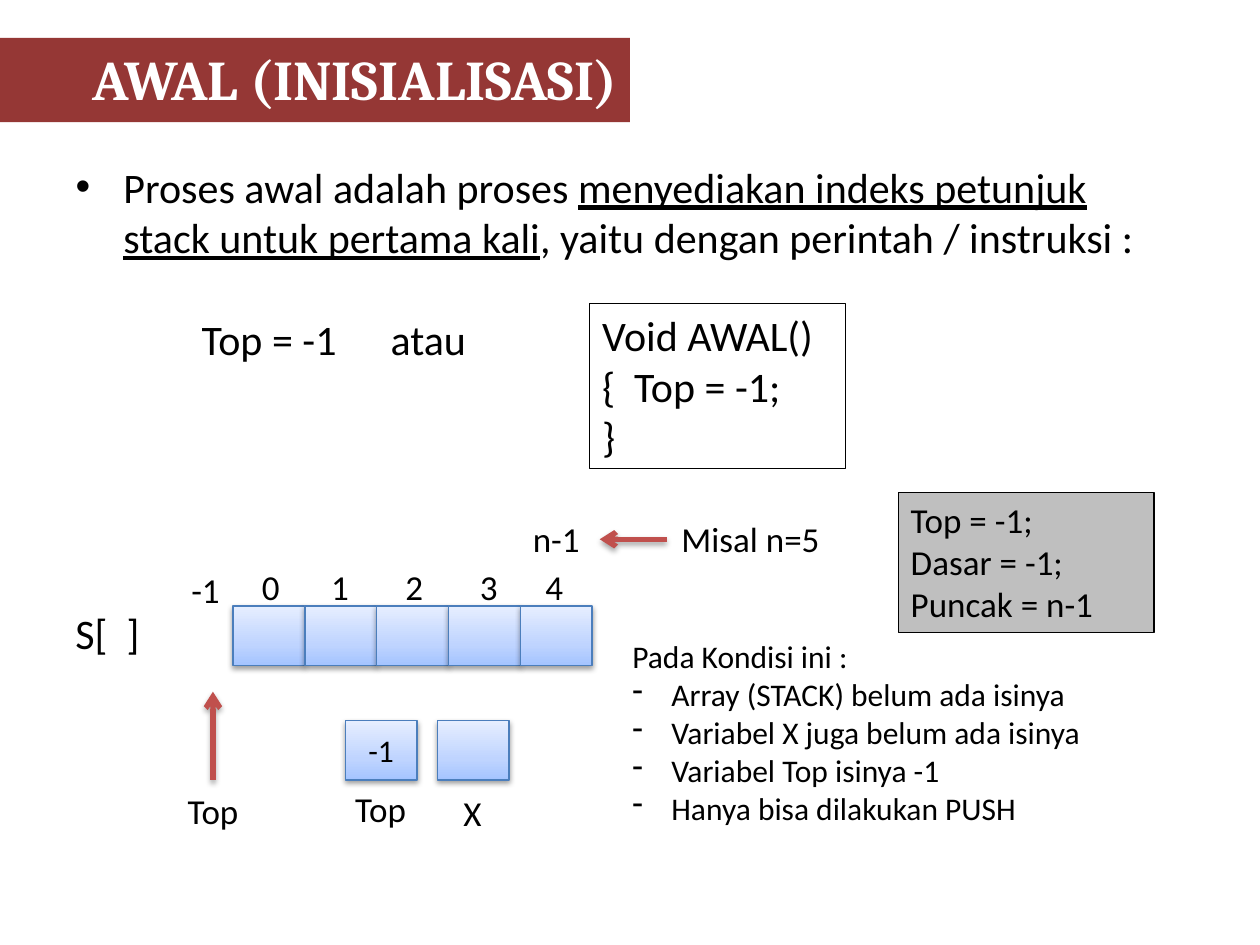
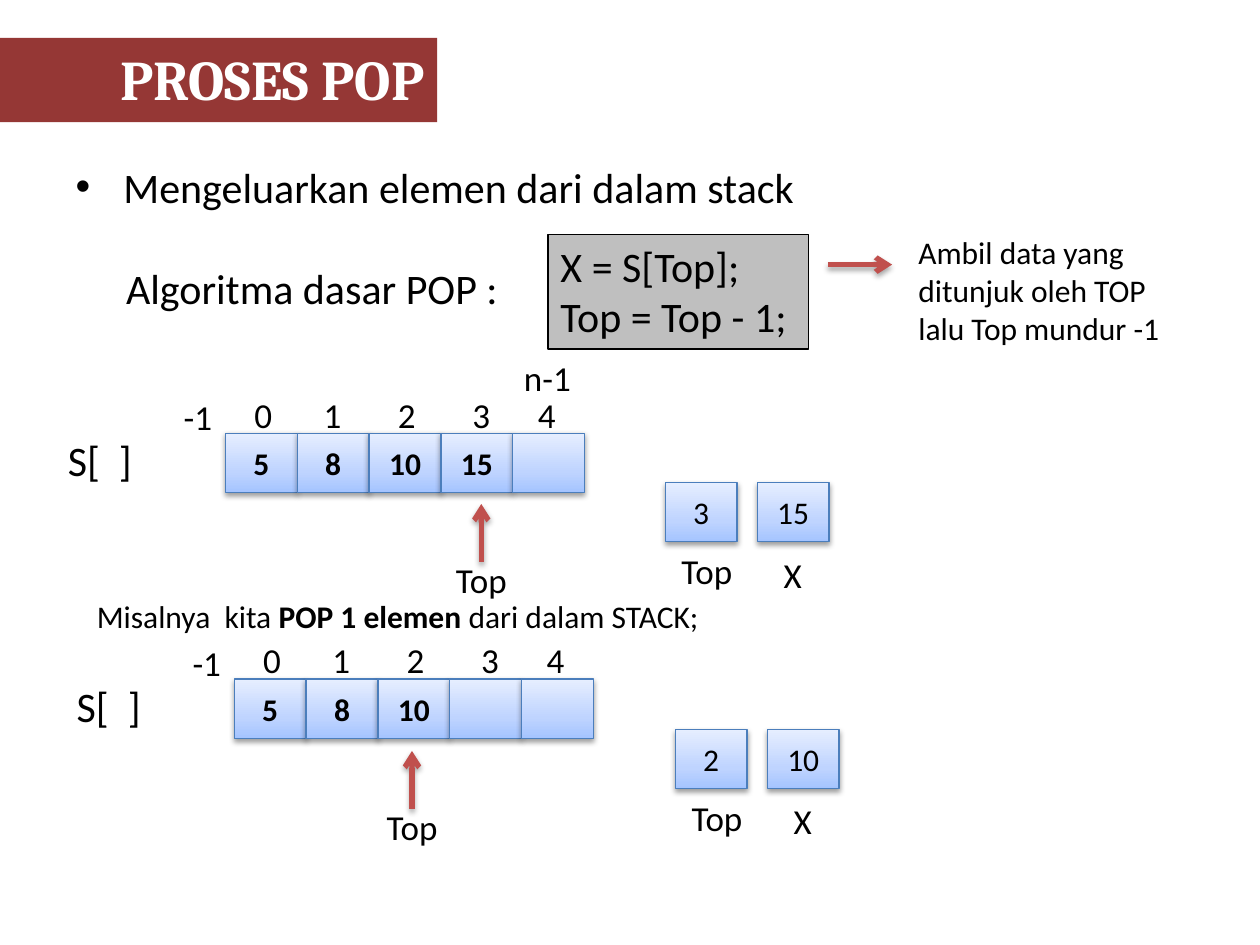
import copy

import pptx
import pptx.util
import pptx.dml.color
import pptx.enum.shapes
import pptx.enum.text
import pptx.oxml
import pptx.oxml.ns
from lxml import etree

Inches = pptx.util.Inches
Pt = pptx.util.Pt
qn = pptx.oxml.ns.qn
ALIGN = pptx.enum.text.PP_ALIGN
ANCHOR = pptx.enum.text.MSO_ANCHOR
FIT = pptx.enum.text.MSO_AUTO_SIZE
RECT = pptx.enum.shapes.MSO_SHAPE.RECTANGLE
STRAIGHT = pptx.enum.shapes.MSO_CONNECTOR.STRAIGHT

COLORS = {
    "band": "953735",
    "white": "FFFFFF",
    "text": "000000",
    "gray": "BFBFBF",
    "arrow": "C0504D",
    "cell_line": "4B7EBC",
    "cell_low": "A4C4FF",
    "cell_mid": "BFD4FF",
    "cell_high": "E6EEFF",
}
CELL_W, CELL_H = 0.57, 0.47
INDEX_OFFSETS = [0.13, 0.68, 1.27, 1.86, 2.38]
BLANK_LINE = 29.3


def rgb(name):
    return pptx.dml.color.RGBColor.from_string(COLORS[name])


def place(shape, x, y, w, h):
    shape.left, shape.top = Inches(x), Inches(y)
    shape.width, shape.height = Inches(w), Inches(h)


def write_text(tf, paragraphs, size=20, font="Calibri", color="text", bold=False,
               align=ALIGN.LEFT, anchor=ANCHOR.TOP, wrap=True, fit=FIT.NONE):
    tf.word_wrap = wrap
    tf.auto_size = fit
    tf.vertical_anchor = anchor
    for i, runs in enumerate(paragraphs):
        p = tf.paragraphs[0] if i == 0 else tf.add_paragraph()
        p.alignment = align
        p.space_before = Pt(0)
        for text, style in [(runs, "")] if isinstance(runs, str) else runs:
            r = p.add_run()
            r.text = text
            r.font.name = font
            r.font.size = Pt(size)
            r.font.bold = bold or style == "bold"
            r.font.underline = style == "underline"
            r.font.color.rgb = rgb(color)


def indent(p, margin, first, bullet=None, tab=None):
    pPr = p._p.get_or_add_pPr()
    pPr.set("marL", str(Inches(margin)))
    pPr.set("indent", str(Inches(first)))
    if bullet:
        etree.SubElement(pPr, qn("a:buChar")).set("char", bullet)
    else:
        etree.SubElement(pPr, qn("a:buNone"))
    if tab:
        stop = etree.SubElement(etree.SubElement(pPr, qn("a:tabLst")), qn("a:tab"))
        stop.set("pos", str(Inches(tab)))
        stop.set("algn", "l")


def add_shadow(shape, alpha, dist):
    shape._element.spPr.append(pptx.oxml.parse_xml(
        f'<a:effectLst {pptx.oxml.ns.nsdecls("a")}>'
        f'<a:outerShdw blurRad="40000" dist="{dist}" dir="5400000" rotWithShape="0">'
        f'<a:srgbClr val="{COLORS["text"]}"><a:alpha val="{alpha}"/></a:srgbClr>'
        '</a:outerShdw></a:effectLst>'))


def add_label(s, text, x, y, w, h=0.44, size=20):
    tf = s.shapes.add_textbox(Inches(x), Inches(y), Inches(w), Inches(h)).text_frame
    write_text(tf, [text], size=size, wrap=False, fit=FIT.SHAPE_TO_FIT_TEXT)


def add_note(s, paragraphs, x, y, w, h):
    tf = s.shapes.add_textbox(Inches(x), Inches(y), Inches(w), Inches(h)).text_frame
    write_text(tf, paragraphs, size=18, fit=FIT.SHAPE_TO_FIT_TEXT)
    return tf


def add_code(s, lines, x, y, w, h, size=24, fill=None):
    box = s.shapes.add_shape(RECT, Inches(x), Inches(y), Inches(w), Inches(h))
    box.shadow.inherit = False
    if fill:
        box.fill.solid()
        box.fill.fore_color.rgb = rgb(fill)
    else:
        box.fill.background()
    box.line.color.rgb = rgb("text")
    box.line.width = Pt(0.75)
    write_text(box.text_frame, lines, size=size, fit=FIT.SHAPE_TO_FIT_TEXT)


def add_cell(shapes, x, y, value="", bold=False):
    cell = shapes.add_shape(RECT, Inches(x), Inches(y), Inches(CELL_W), Inches(CELL_H))
    cell.fill.gradient()
    cell.fill.gradient_angle = 90
    stops = cell._element.spPr.find(".//" + qn("a:gsLst"))
    stops.insert(1, copy.deepcopy(stops[0]))
    levels = [(0, "cell_low"), (0.35, "cell_mid"), (1, "cell_high")]
    for stop, (position, color) in zip(cell.fill.gradient_stops, levels):
        stop.position = position
        stop.color.rgb = rgb(color)
    cell.line.color.rgb = rgb("cell_line")
    cell.line.width = Pt(0.75)
    add_shadow(cell, 38000, 20000)
    if value:
        write_text(cell.text_frame, [value], size=18, bold=bold,
                   align=ALIGN.CENTER, anchor=ANCHOR.MIDDLE)


def add_arrow(s, x1, y1, x2, y2):
    line = s.shapes.add_connector(STRAIGHT, Inches(x1), Inches(y1), Inches(x2), Inches(y2))
    line.line.color.rgb = rgb("arrow")
    line.line.width = Pt(3)
    etree.SubElement(line.line._get_or_add_ln(), qn("a:tailEnd")).set("type", "arrow")
    add_shadow(line, 35000, 23000)


def add_stack(s, x, y, values):
    group = s.shapes.add_group_shape()
    for i, value in enumerate(values):
        add_cell(group.shapes, x + i * CELL_W, y, value, bold=True)
    add_label(s, "S[  ]", x - 1.35, y - 0.04, 0.71, 0.5, size=24)
    add_label(s, "-1", x - 0.43, y - 0.35, 0.43)
    for i, offset in enumerate(INDEX_OFFSETS):
        add_label(s, str(i), x + offset, y - 0.37, 0.34)


def add_variables(s, x, y, top, value="", label_shift=0.03):
    add_cell(s.shapes, x, y, top)
    add_cell(s.shapes, x + 0.73, y, value)
    add_label(s, "Top", x + label_shift, y + 0.48, 0.61)
    add_label(s, "X", x + 0.84, y + 0.51, 0.35)


def add_pointer(s, x, y, length, label_gap):
    add_arrow(s, x, y, x, y - length)
    add_label(s, "Top", x - 0.3, y + label_gap, 0.61)


def add_slide(prs, title, band_w, body, body_h):
    s = prs.slides.add_slide(prs.slide_layouts[1])
    band = s.shapes.title
    place(band, -0.75, 0.3, band_w, 0.67)
    band.fill.solid()
    band.fill.fore_color.rgb = rgb("band")
    write_text(band.text_frame, [title], size=32, font="Cambria", color="white",
               bold=True, align=ALIGN.RIGHT)
    holder = s.placeholders[1]
    place(holder, 0.5, 1.23, 8.98, body_h)
    write_text(holder.text_frame, body, size=24)
    first, second = holder.text_frame.paragraphs
    indent(first, 0.38, -0.38, "•")
    second.space_before = Pt(BLANK_LINE)
    return s, second


def build_init(prs):
    s, command = add_slide(prs, "AWAL (INISIALISASI)", 5.75, [
        [("Proses awal adalah proses ", ""),
         ("menyediakan indeks petunjuk stack untuk pertama kali", "underline"),
         (", yaitu dengan perintah / instruksi :", "")],
        "Top = -1\tatau"], 1.72)
    indent(command, 0, 1, tab=2.89)
    add_code(s, ["Void AWAL()", "{  Top = -1;", "}"], 4.68, 2.41, 2.03, 1.31)
    add_stack(s, 1.85, 4.81, [""] * 5)
    add_pointer(s, 1.69, 6.19, 0.7, 0.03)
    add_label(s, "n-1", 4.13, 4.06, 0.58)
    add_arrow(s, 5.29, 4.28, 4.76, 4.28)
    add_label(s, "Misal n=5", 5.31, 4.06, 1.31)
    add_variables(s, 2.74, 5.72, "-1", label_shift=-0.02)
    add_code(s, ["Top = -1;", "Dasar = -1;", "Puncak = n-1"], 7.13, 3.91, 2.03, 1.11,
             size=20, fill="gray")
    tf = add_note(s, ["Pada Kondisi ini :", "Array (STACK) belum ada isinya",
                      "Variabel X juga belum ada isinya", "Variabel Top isinya -1",
                      "Hanya bisa dilakukan PUSH"], 4.92, 5.01, 4.31, 1.62)
    for p in tf.paragraphs[1:]:
        indent(p, 0.31, -0.31, "-")


def build_pop(prs):
    s, algorithm = add_slide(prs, "PROSES POP", 4.22, [
        "Mengeluarkan elemen dari dalam stack", "Algoritma dasar POP :"], 1.31)
    indent(algorithm, 0, 0.4)
    add_code(s, ["X = S[Top];", "Top = Top - 1;"], 4.35, 1.86, 2.07, 0.91, fill="gray")
    add_arrow(s, 6.57, 2.1, 7.08, 2.1)
    add_note(s, ["Ambil data yang ditunjuk oleh TOP lalu Top mundur -1"],
             7.19, 1.8, 2.28, 1.01)
    add_label(s, "n-1", 4.06, 2.78, 0.58)
    add_stack(s, 1.79, 3.44, ["5", "8", "10", "15", ""])
    add_pointer(s, 3.82, 4.46, 0.46, -0.08)
    add_variables(s, 5.28, 3.83, "3", "15")
    add_note(s, [[("Misalnya  kita ", ""), ("POP 1 elemen", "bold"),
                  (" dari dalam STACK;", "")]], 0.67, 4.69, 8.43, 0.4)
    add_stack(s, 1.86, 5.39, ["5", "8", "10", "", ""])
    add_pointer(s, 3.27, 6.42, 0.46, -0.08)
    add_variables(s, 5.36, 5.79, "2", "10")


def main():
    prs = pptx.Presentation()
    prs.slide_width, prs.slide_height = Inches(10), Inches(7.5)
    build_init(prs)
    build_pop(prs)
    prs.save("out.pptx")


main()
